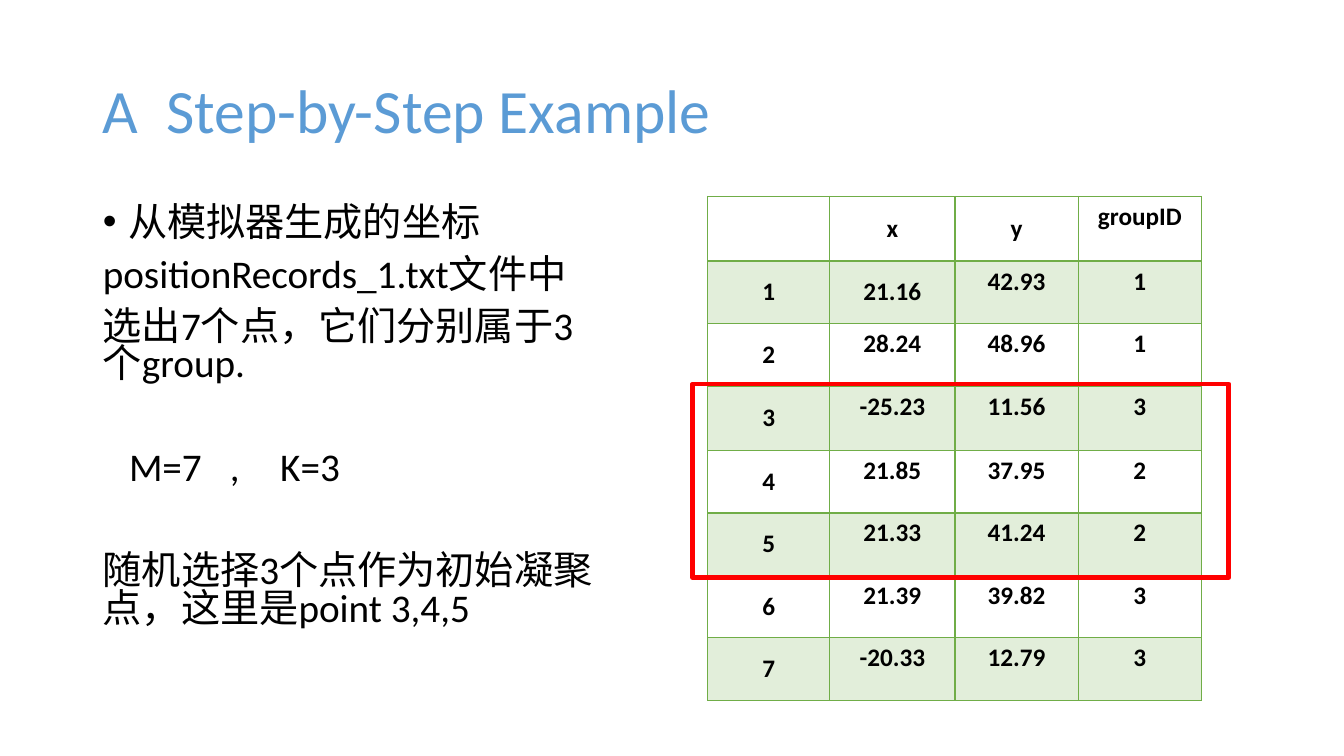
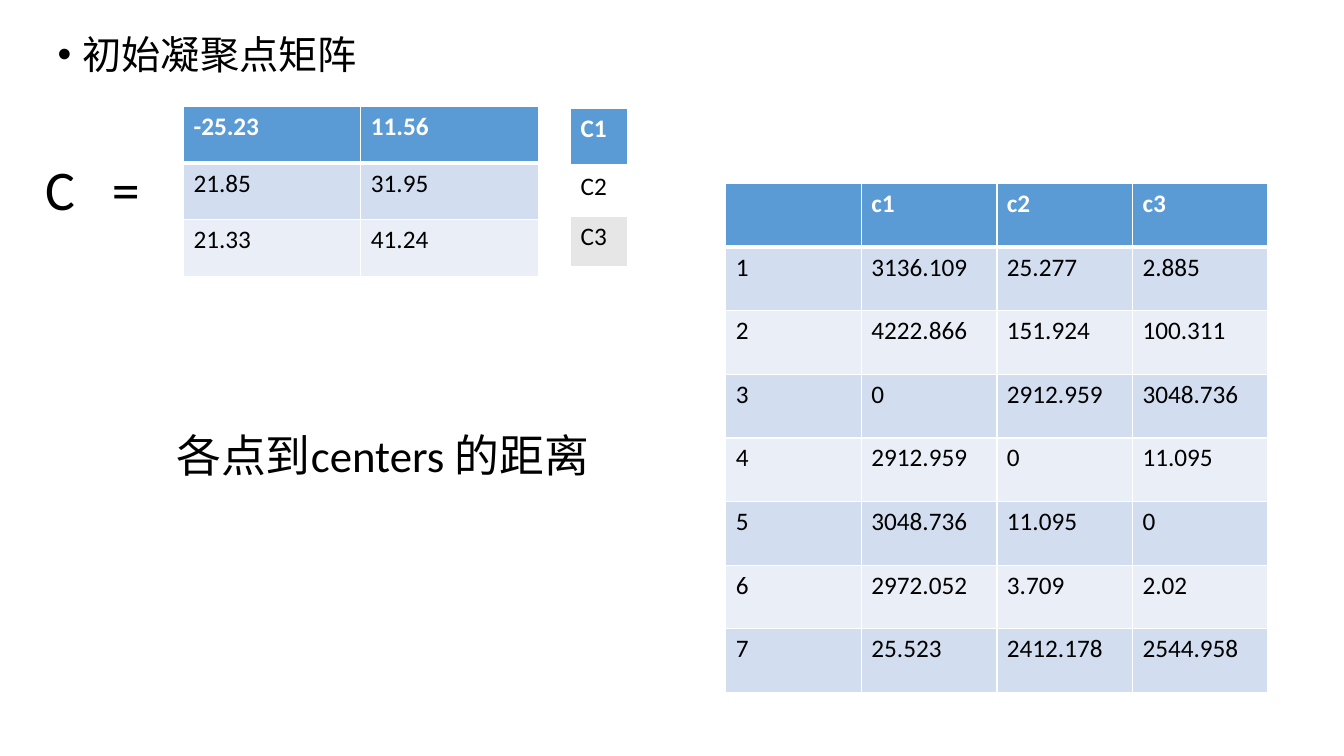
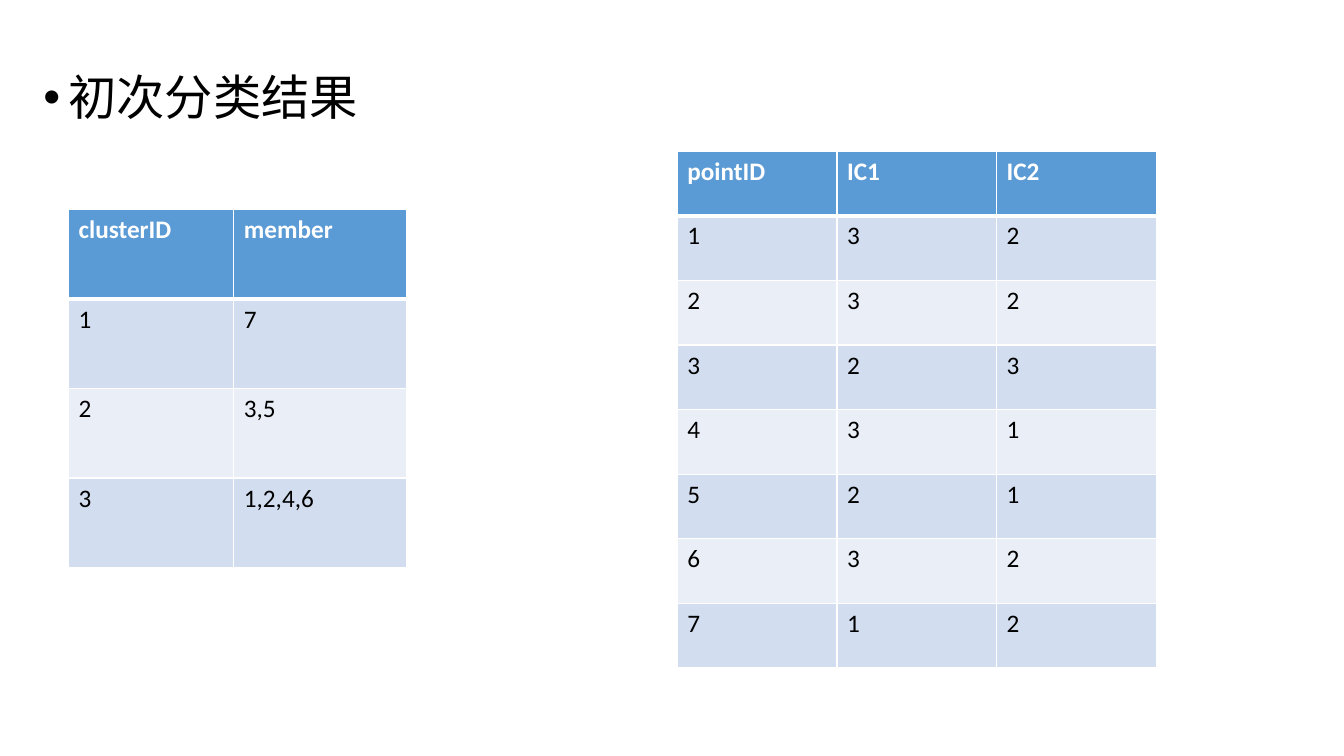
"""Build three slides that walk through a k-means clustering example."""
from collections import namedtuple

from lxml.etree import SubElement
from pptx import Presentation
from pptx.dml.color import RGBColor
from pptx.enum.shapes import MSO_SHAPE as Shape
from pptx.enum.text import MSO_ANCHOR as Anchor, MSO_AUTO_SIZE as Fit, PP_ALIGN as Align
from pptx.oxml.ns import qn
from pptx.util import Emu, Inches, Pt

COLORS = {
    "ink": "000000", "paper": "FFFFFF", "blue": "5B9BD5", "blue_mid": "D2DEEF",
    "blue_pale": "EAEFF7", "green": "70AD47", "gray": "E7E6E6", "red": "FF0000",
}
FONT = "Calibri"
CELL_SIZE = 18

Look = namedtuple("Look", "header bands edge header_edge header_ink bold align alpha")
BLUE = Look("blue", ("blue_mid", "blue_pale"), "paper", 3, "paper", False, Align.LEFT, None)
LABELS = BLUE._replace(bands=("paper", "gray"))
GREEN = Look(None, ("green", None), "green", 2, "ink", True, Align.CENTER, 20)


def color(name):
    return RGBColor.from_string(COLORS[name])


class Deck:
    """Hold the shared style and the current slide; boxes are percent of the slide."""

    def __init__(self):
        self.show = Presentation()
        self.show.slide_width, self.show.slide_height = Inches(13.333), Inches(7.5)
        self.slide = None

    def box(self, left, top, width, height):
        across, down = self.show.slide_width / 100, self.show.slide_height / 100
        return [Emu(round(n)) for n in (left * across, top * down, width * across, height * down)]

    def start(self, title=None):
        self.slide = self.show.slides.add_slide(self.show.slide_layouts[1])
        heading = self.slide.shapes.title
        if title is None:
            heading.element.getparent().remove(heading.element)
            return
        frame = self.place(heading, (6.9, 5.33, 86.25, 19.33), Anchor.MIDDLE)
        line = frame.paragraphs[0]
        line.alignment, line.line_spacing = Align.LEFT, 0.9
        self.run(line, title, 44, "blue")

    def place(self, holder, area, anchor):
        holder.left, holder.top, holder.width, holder.height = self.box(*area)
        frame = holder.text_frame
        frame.word_wrap, frame.auto_size, frame.vertical_anchor = True, Fit.NONE, anchor
        return frame

    def run(self, line, words, size, ink="ink", bold=False):
        piece = line.add_run()
        piece.text = words
        font = piece.font
        font.name, font.size, font.bold = FONT, Pt(size), bold
        font.color.rgb = color(ink)

    def tabs(self, line, stops):
        stop_list = SubElement(line._p.get_or_add_pPr(), qn("a:tabLst"))
        for stop in stops:
            SubElement(stop_list, qn("a:tab"), pos=str(Inches(stop)), algn="l")

    def body(self, area, bullet, size=28, spacing=0.9, details=()):
        frame = self.place(self.slide.placeholders[1], area, Anchor.TOP)
        first = frame.paragraphs[0]
        self.body_line(first, bullet, size, spacing, 10, 0.25, -0.25, "•")
        for words, before, indent, stops in details:
            line = frame.add_paragraph()
            self.body_line(line, words, size, spacing, before, indent, 0)
            if stops:
                self.tabs(line, stops)

    def body_line(self, line, words, size, spacing, before, indent, hanging, mark=None):
        line.alignment, line.line_spacing = Align.LEFT, spacing
        line.space_before = Pt(before)
        props = line._p.get_or_add_pPr()
        props.set("marL", str(Inches(indent)))
        props.set("indent", str(Inches(hanging)))
        if mark:
            SubElement(props, qn("a:buFont"), typeface="Arial")
            SubElement(props, qn("a:buChar"), char=mark)
        else:
            SubElement(props, qn("a:buNone"))
        self.run(line, words, size)

    def text(self, area, words, size, stops=()):
        frame = self.slide.shapes.add_textbox(*self.box(*area)).text_frame
        frame.word_wrap, frame.auto_size = True, Fit.SHAPE_TO_FIT_TEXT
        line = frame.paragraphs[0]
        self.run(line, words, size)
        if stops:
            self.tabs(line, stops)

    def frame(self, area, ink, weight):
        outline = self.slide.shapes.add_shape(Shape.RECTANGLE, *self.box(*area))
        outline.shadow.inherit = False
        outline.fill.background()
        outline.line.color.rgb = color(ink)
        outline.line.width = Pt(weight)

    def table(self, area, rows, look=BLUE, widths=None, heights=None, middle=()):
        left, top, width, height = self.box(*area)
        grid = self.slide.shapes.add_table(len(rows), len(rows[0]), left, top, width, height).table
        grid.first_row = grid.horz_banding = False
        for tracks, shares, total, side in (
            (grid.columns, widths, width, "width"), (grid.rows, heights, height, "height"),
        ):
            shares = shares or [1] * len(tracks)
            for track, share in zip(tracks, shares):
                setattr(track, side, Emu(round(total * share / sum(shares))))
        for r, row in enumerate(rows):
            for c, words in enumerate(row):
                anchor = Anchor.MIDDLE if (r, c) in middle else Anchor.TOP
                self.cell(grid.cell(r, c), words, r, look, anchor)

    def cell(self, cell, words, row, look, anchor):
        props = cell._tc.get_or_add_tcPr()
        heavy = {0: "lnB", 1: "lnT"}.get(row)
        for side in ("lnL", "lnR", "lnT", "lnB"):
            weight = look.header_edge if side == heavy else 1
            edge = SubElement(props, qn(f"a:{side}"), w=str(Pt(weight)))
            paint = SubElement(edge, qn("a:solidFill"))
            SubElement(paint, qn("a:srgbClr"), val=COLORS[look.edge])
        tint = look.bands[(row - 1) % 2] if row else look.header
        if tint:
            cell.fill.solid()
            cell.fill.fore_color.rgb = color(tint)
            if look.alpha:
                shade = props.find(f"{qn('a:solidFill')}/{qn('a:srgbClr')}")
                SubElement(shade, qn("a:alpha"), val=str(look.alpha * 1000))
        else:
            cell.fill.background()
        cell.vertical_anchor = anchor
        line = cell.text_frame.paragraphs[0]
        line.alignment = look.align
        if words:
            ink = "ink" if row else look.header_ink
            self.run(line, words, CELL_SIZE, ink, look.bold or row == 0)


def numbered(header, *records):
    return [header] + [(str(n), *record) for n, record in enumerate(records, 1)]


deck = Deck()

deck.start("A  Step-by-Step Example")
deck.body(
    (6.9, 26.67, 38.1, 66.13), "从模拟器生成的坐标", spacing=0.8,
    details=[
        ("positionRecords_1.txt文件中", 10, 0, ()),
        ("选出7个点，它们分别属于3个group.", 10, 0, ()),
        ("M=7\t,\tK=3", 47, 0.26, (1.25, 1.7)),
        ("随机选择3个点作为初始凝聚点，这里是point 3,4,5", 47, 0, ()),
    ],
)
points = numbered(
    ("", "x", "y", "groupID"),
    ("21.16", "42.93", "1"), ("28.24", "48.96", "1"), ("-25.23", "11.56", "3"),
    ("21.85", "37.95", "2"), ("21.33", "41.24", "2"), ("21.39", "39.82", "3"),
    ("-20.33", "12.79", "3"),
)
centered = {(r, 0) for r in range(len(points))} | {(0, 1), (0, 2), (1, 1)}
deck.table(
    (52.65, 26, 36.75, 66.67), points, GREEN, middle=centered,
    widths=(1.21, 1.24, 1.22, 1.22), heights=(0.64, 0.62, 0.62, 0.64, 0.62, 0.62, 0.62, 0.62),
)
deck.frame((51.53, 50.8, 39.9, 25.6), "red", 3.5)

deck.start()
deck.body((3.53, 4, 86.25, 7.2), "初始凝聚点矩阵")
centers = [("-25.23", "11.56"), ("21.85", "31.95"), ("21.33", "41.24")]
deck.table((13.65, 14.13, 26.4, 22.4), centers)
deck.text((2.63, 19.73, 12, 10.27), "C\t=", 40, (0.66,))
deck.table(
    (42.45, 14.4, 4.28, 20.93), [("C1",), ("C2",), ("C3",)], LABELS, heights=(0.57, 0.5, 0.5),
)
deck.text((12.38, 55.87, 38.25, 8.53), "各点到centers 的距离", 32)
distances = numbered(
    ("", "c1", "c2", "c3"),
    ("3136.109", "25.277", "2.885"), ("4222.866", "151.924", "100.311"),
    ("0", "2912.959", "3048.736"), ("2912.959", "0", "11.095"),
    ("3048.736", "11.095", "0"), ("2972.052", "3.709", "2.02"),
    ("25.523", "2412.178", "2544.958"),
)
deck.table((54, 24.27, 40.35, 67.33), distances)

deck.start()
deck.body((2.48, 9.07, 86.25, 8.27), "初次分类结果", 34.5)
clusters = numbered(("clusterID", "member"), ("7",), ("3,5",), ("1,2,4,6",))
deck.table((5.1, 27.73, 25.13, 47.33), clusters, widths=(1.64, 1.71))
nearest = numbered(("pointID", "IC1", "IC2"), *("32", "32", "23", "31", "21", "32", "12"))
deck.table((50.4, 20, 35.63, 68.4), nearest)

deck.show.save("out.pptx")
